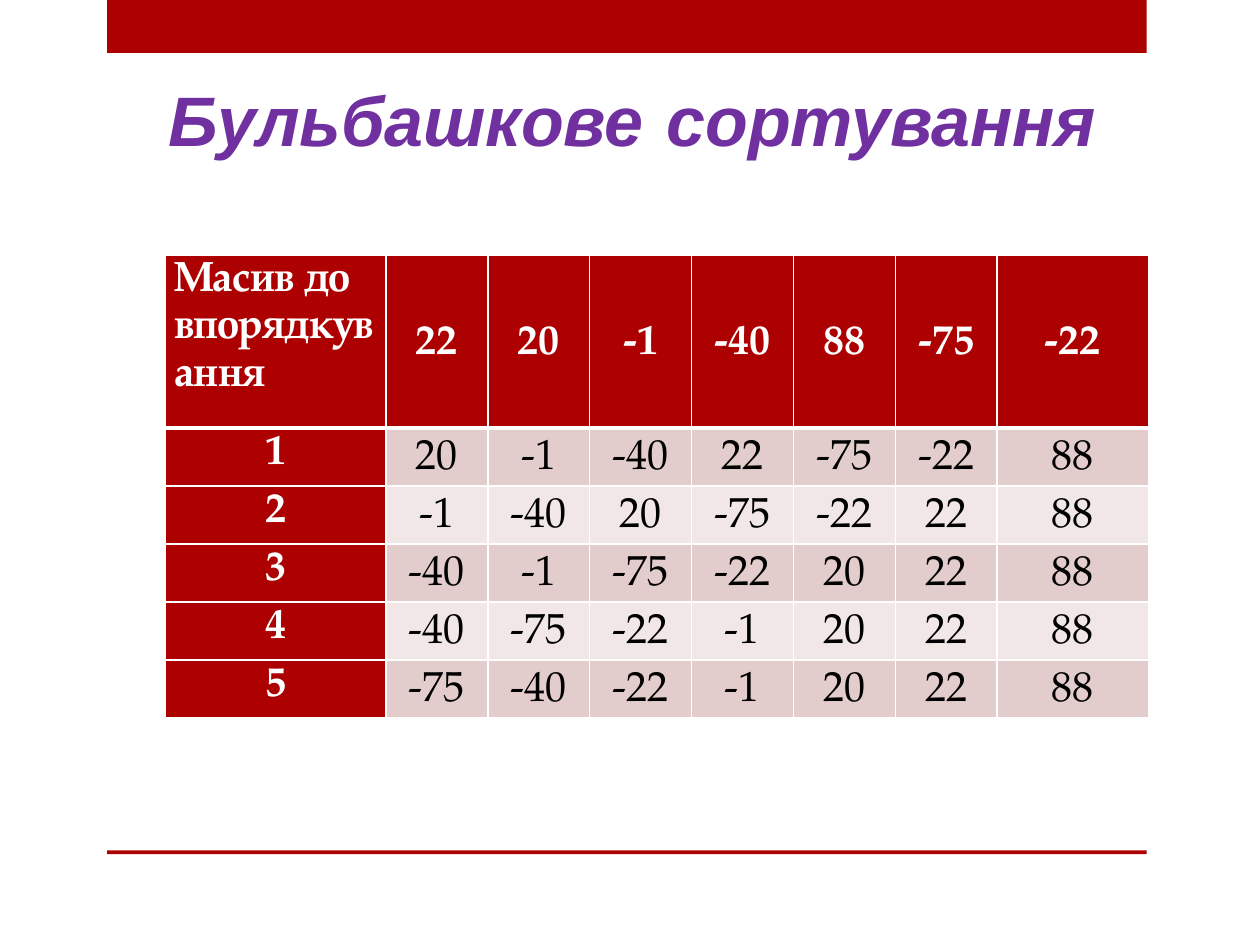
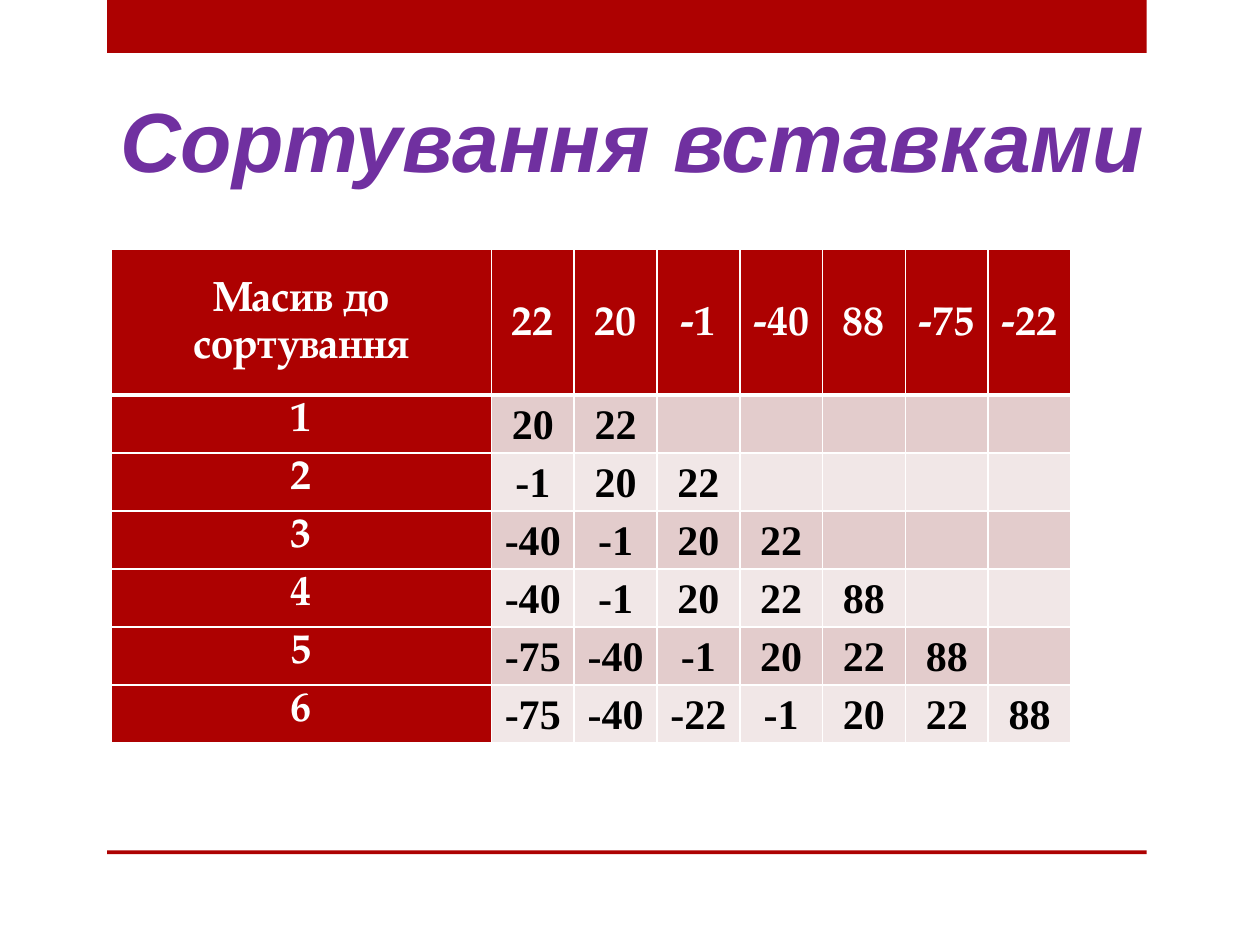
import dataclasses

import lxml.etree
import pptx
import pptx.dml.color
import pptx.enum.shapes
import pptx.enum.text
import pptx.oxml.ns
import pptx.util

Pt = pptx.util.Pt
RGB = pptx.dml.color.RGBColor.from_string
ALIGN = pptx.enum.text.PP_ALIGN
ANCHOR = pptx.enum.text.MSO_ANCHOR
qn = pptx.oxml.ns.qn


@dataclasses.dataclass(frozen=True)
class Theme:
    red: str = "AD0101"
    purple: str = "7030A0"
    white: str = "FFFFFF"
    black: str = "000000"
    stripes: tuple = ("E3CCCC", "F1E7E7")
    title_font: str = "Arial"
    table_font: str = "TeX Gyre Pagella"
    digit_font: str = "Times New Roman"
    title_size: float = 48
    small_title_size: float = 40
    table_size: float = 24
    table_spacing: float = 1.15
    cell_inset: float = 5
    border: float = 1
    header_border: float = 3


@dataclasses.dataclass(frozen=True)
class TextStyle:
    font: str
    size: float
    color: str
    bold: bool = True
    italic: bool = False


THEME = Theme()
SLIDE_SIZE = (720, 540)
BANDS = ((61.2, 0, 594, 30.24), (61.2, 486, 594, 2.16))
TITLE_SIZE = (685.44, 65.5)
TITLE_LEFT = 18.72
ROW_HEIGHT = 33.14

UNSORTED = [22, 20, -1, -40, 88, -75, -22]
BUBBLE_PASSES = [
    [20, -1, -40, 22, -75, -22, 88],
    [-1, -40, 20, -75, -22, 22, 88],
    [-40, -1, -75, -22, 20, 22, 88],
    [-40, -75, -22, -1, 20, 22, 88],
    [-75, -40, -22, -1, 20, 22, 88],
]
# Each step of the insertion sort shows only the part already in order.
INSERTION_STEPS = [sorted(UNSORTED[:n]) for n in range(2, len(UNSORTED) + 1)]


def add_run(p, text, style):
    r = p.add_run()
    r.text = text
    r.font.name = style.font
    r.font.size = Pt(style.size)
    r.font.bold = style.bold
    r.font.italic = style.italic
    r.font.color.rgb = RGB(style.color)


def add_bands(s):
    for box in BANDS:
        sp = s.shapes.add_shape(
            pptx.enum.shapes.MSO_SHAPE.RECTANGLE, *map(Pt, box))
        sp.shadow.inherit = False
        sp.fill.solid()
        sp.fill.fore_color.rgb = RGB(THEME.red)
        sp.line.fill.background()


def set_title(s, top, parts):
    """Place the title; parts are (text, size) pairs."""
    sp = s.shapes.title
    sp.left, sp.top = Pt(TITLE_LEFT), Pt(top)
    sp.width, sp.height = map(Pt, TITLE_SIZE)
    tf = sp.text_frame
    tf.word_wrap = True
    tf.auto_size = pptx.enum.text.MSO_AUTO_SIZE.NONE
    tf.vertical_anchor = ANCHOR.TOP
    p = tf.paragraphs[0]
    p.alignment = ALIGN.CENTER
    for text, size in parts:
        add_run(p, text, TextStyle(THEME.title_font, size, THEME.purple,
                                   italic=True))


def set_borders(cell, top, bottom):
    """Draw white cell edges, with the given widths above and below."""
    tcPr = cell._tc.get_or_add_tcPr()
    edges = {"a:lnL": THEME.border, "a:lnR": THEME.border,
             "a:lnT": top, "a:lnB": bottom}
    for i, (tag, width) in enumerate(edges.items()):
        ln = lxml.etree.Element(qn(tag), w=str(Pt(width)))
        fill = lxml.etree.SubElement(ln, qn("a:solidFill"))
        lxml.etree.SubElement(fill, qn("a:srgbClr"), val=THEME.white)
        tcPr.insert(i, ln)


def fill_cell(cell, text, style, color, anchor, align=ALIGN.CENTER):
    cell.fill.solid()
    cell.fill.fore_color.rgb = RGB(color)
    cell.margin_left = cell.margin_right = Pt(THEME.cell_inset)
    cell.margin_top = cell.margin_bottom = 0
    cell.vertical_anchor = anchor
    p = cell.text_frame.paragraphs[0]
    p.alignment = align
    p.line_spacing = THEME.table_spacing
    if text:
        add_run(p, text, style)


def add_sort_table(s, left, top, widths, header_height, caption, steps,
                   digit_style, digit_anchor, caption_anchor=ANCHOR.MIDDLE,
                   caption_align=ALIGN.CENTER):
    """Show the unsorted array on top and one numbered row per step below."""
    heights = [header_height] + [ROW_HEIGHT] * len(steps)
    table = s.shapes.add_table(
        len(heights), len(widths), Pt(left), Pt(top),
        Pt(sum(widths)), Pt(sum(heights))).table
    for column, width in zip(table.columns, widths):
        column.width = Pt(width)
    for row, height in zip(table.rows, heights):
        row.height = Pt(height)

    head = TextStyle(THEME.table_font, THEME.table_size, THEME.white)
    fill_cell(table.cell(0, 0), caption, head, THEME.red,
              caption_anchor, caption_align)
    for j, number in enumerate(UNSORTED, 1):
        fill_cell(table.cell(0, j), str(number), head, THEME.red,
                  ANCHOR.MIDDLE)
    for i, step in enumerate(steps, 1):
        fill_cell(table.cell(i, 0), str(i), head, THEME.red, ANCHOR.TOP)
        stripe = THEME.stripes[(i - 1) % 2]
        for j in range(1, len(widths)):
            text = str(step[j - 1]) if j <= len(step) else ""
            fill_cell(table.cell(i, j), text, digit_style, stripe,
                      digit_anchor)

    for i, row in enumerate(table.rows):
        for cell in row.cells:
            set_borders(cell,
                        THEME.header_border if i == 1 else THEME.border,
                        THEME.header_border if i == 0 else THEME.border)


def add_base_slide(prs):
    s = prs.slides.add_slide(prs.slide_layouts.get_by_name("Title Only"))
    add_bands(s)
    return s


def bubble_sort_slide(prs):
    s = add_base_slide(prs)
    set_title(s, 32.4, [("Бульбашкове", THEME.small_title_size),
                        (" ", THEME.title_size),
                        ("сортування", THEME.small_title_size)])
    digits = TextStyle(THEME.table_font, THEME.table_size, THEME.black,
                       bold=False)
    add_sort_table(s, 94.6, 145.8, [126] + [58.2] * 6 + [86.4], 98.8,
                   "Масив до впорядкування", BUBBLE_PASSES, digits,
                   ANCHOR.MIDDLE, ANCHOR.TOP, ALIGN.LEFT)


def insertion_sort_slide(prs):
    s = add_base_slide(prs)
    set_title(s, 46.8, [("Сортування вставками", THEME.title_size)])
    digits = TextStyle(THEME.digit_font, THEME.table_size, THEME.black)
    add_sort_table(s, 63.6, 142.6, [217.2] + [47.33] * 7, 83.2,
                   "Масив до сортування", INSERTION_STEPS, digits,
                   ANCHOR.TOP)


def main():
    prs = pptx.Presentation()
    prs.slide_width, prs.slide_height = map(Pt, SLIDE_SIZE)
    bubble_sort_slide(prs)
    insertion_sort_slide(prs)
    prs.save("out.pptx")


if __name__ == "__main__":
    main()
